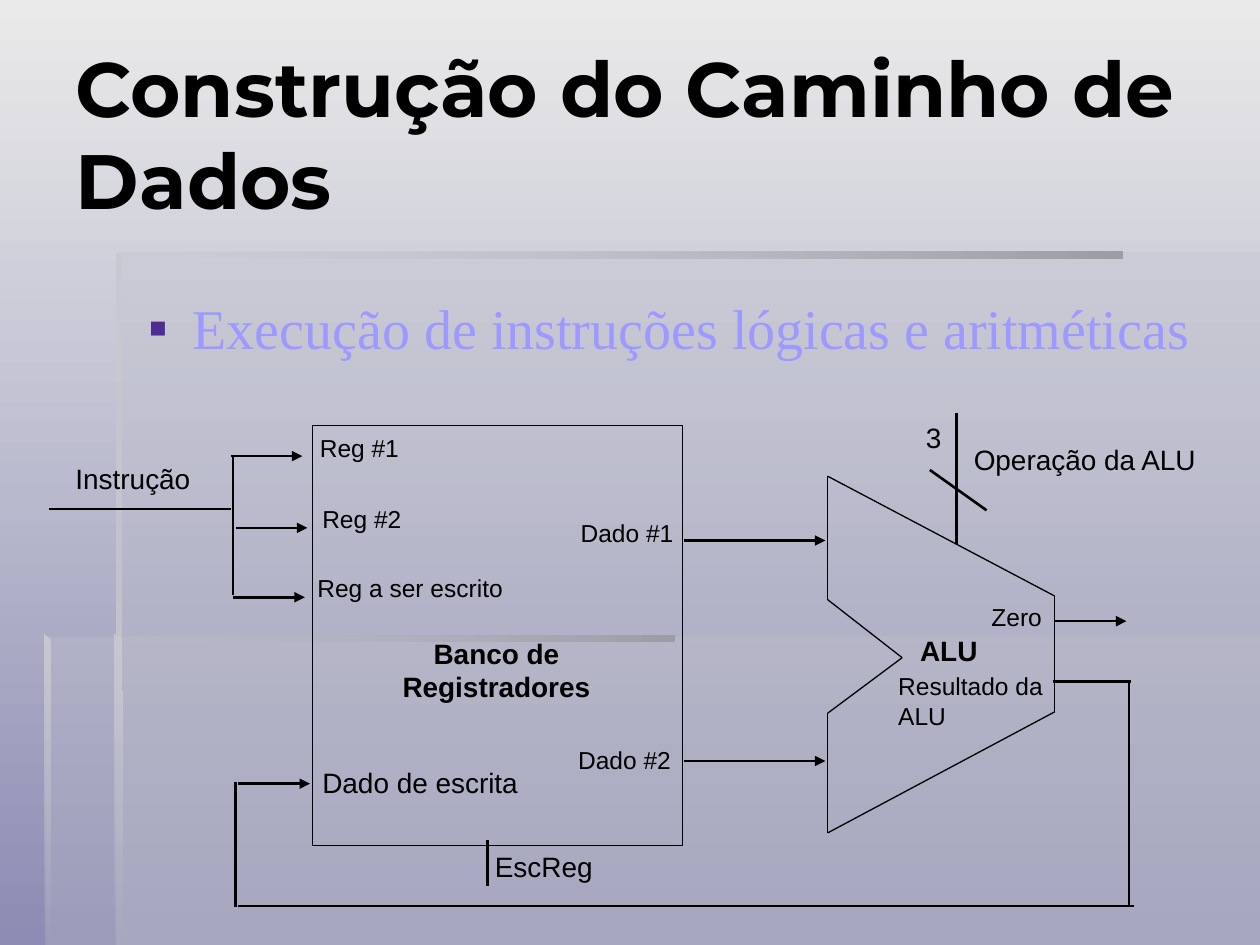
import pptx
import pptx.util
import pptx.dml.color
import pptx.enum.shapes
import pptx.enum.text
import pptx.oxml
import pptx.oxml.ns

THEME = {
    "ink": "000000", "bullet": "4E2D91", "body": "9E99FF",
    "sky": [("EAEAEA", 100), ("8C8CB4", 100)],
    "panel": [("C1C2CB", 30)],
    "bar": [("9D9EA5", 100), ("C1C2CB", 0)],
    "post": [("C7C8D0", 100), ("C1C2CB", 100)],
    "fade": [("C7C8D0", 100), ("C1C2CB", 0)],
    "head": ("Montserrat", 44), "list": ("Times New Roman", 32),
    "big": ("Arial", 16), "small": ("Arial", 14),
    "thin": 0.75, "wire": 1.5,
}
DOWN, BACK = 270, 180  # gradient directions

# Content; all lengths are in cells of a grid of 100 columns by 75 rows
COLS, ROWS = 100, 75
TITLE = "Construção do Caminho de Dados"
POINT = "Execução de instruções lógicas e aritméticas"

# Backdrop: look, gradient direction, outline
PANELS = [
    ("panel", None, [(9.2, 50.5), (9.2, 75), (100, 75), (100, 50.5)]),
    ("panel", None, [(9.4, 50.6), (3.6, 50.6), (3.6, 75), (100, 75),
                     (100, 20), (9.4, 20)]),
    ("bar", BACK, [(9.2, 20), (9.2, 20.5), (89.1, 20.5), (89.1, 20)]),
    ("post", DOWN, [(9.2, 20), (9.2, 51), (9.7, 51), (9.6, 20.4)]),
    ("fade", DOWN, [(9.1, 75), (9.7, 75), (9.6, 50.8), (9.1, 50.4)]),
    ("bar", BACK, [(3.5, 50.4), (3.5, 50.9), (53.5, 50.9), (53.5, 50.4)]),
    ("fade", DOWN, [(3.5, 50.4), (3.5, 75), (4, 75), (4, 50.9)]),
]

BANK = (24.8, 33.8, 29.4, 33.3)
ALU = [(65.7, 37.8), (83.7, 47.3), (83.7, 56.5), (65.7, 66.1),
       (65.7, 56.6), (71.6, 52.2), (65.7, 47.6)]

# Wires: start, end
ARROWS = [
    ((18.3, 36.2), (24, 36.2)), ((18.7, 41.9), (24.4, 41.9)),
    ((18.5, 47.4), (24.2, 47.4)), ((18.9, 62.2), (24.6, 62.2)),
    ((54.3, 42.9), (65.5, 42.9)), ((54.3, 60.4), (65.5, 60.4)),
    ((83.7, 49.3), (89.4, 49.3)),
]
LINES = [
    ((3.9, 40.4), (18.3, 40.4)), ((18.5, 36.2), (18.5, 47.2)),    # instruction
    ((83.6, 54.1), (89.8, 54.1)), ((89.6, 54.1), (89.6, 72)),     # write back
    ((18.9, 71.9), (90, 71.9)), ((18.7, 62.1), (18.7, 72)),
    ((75.9, 32.8), (75.9, 43.2)), ((73.8, 37.3), (78.3, 40.5)),   # control
    ((38.7, 66.7), (38.7, 70.3)),
]

# Labels: text, box, size, style (c centred, b bold)
LABELS = [
    ("Reg #1", (24.4, 33.9, 15.4, 5), "small", ""),
    ("Reg #2", (24.6, 39.5, 13.6, 5.4), "small", ""),
    ("Reg a ser escrito", (24.2, 45, 19.5, 4.2), "small", ""),
    ("Dado #1", (45.1, 40.6, 14.3, 3.9), "small", ""),
    ("Dado #2", (44.9, 58.6, 13.7, 5.1), "small", ""),
    ("Zero", (77.7, 47.3, 8.5, 5.2), "small", ""),
    ("Resultado da\nALU", (70.3, 52.8, 20.9, 6.6), "small", ""),
    ("Dado de escrita", (24.6, 60.3, 19.9, 5.9), "big", ""),
    ("Operação da ALU", (76.3, 34.6, 21.1, 5.1), "big", ""),
    ("EscReg", (38.3, 66.9, 13.3, 5.3), "big", ""),
    ("3", (72.5, 32.9, 5.9, 4.7), "big", ""),
    ("Instrução", (1.2, 36.1, 18.7, 4.5), "big", "c"),
    ("ALU", (70.7, 49.8, 9.2, 4.5), "big", "cb"),
    ("Banco de Registradores", (27.5, 50, 23.8, 6.9), "big", "cb"),
]

deck = pptx.Presentation()
deck.slide_width, deck.slide_height = pptx.util.Inches(10), pptx.util.Inches(7.5)
slide = deck.slides.add_slide(deck.slide_layouts[1])
shapes = slide.shapes
qn = pptx.oxml.ns.qn
ALIGN = pptx.enum.text.PP_ALIGN


def rgb(code):
    return pptx.dml.color.RGBColor.from_string(code)


def grid(*cells):
    """Turn x, y, x, y ... in cells into slide lengths."""
    units = (deck.slide_width / COLS, deck.slide_height / ROWS)
    return [round(n * units[i % 2]) for i, n in enumerate(cells)]


def place(shape, box):
    shape.left, shape.top, shape.width, shape.height = grid(*box)


def paint(fill, stops, turn):
    if turn is None:
        fill.solid()
        fill.fore_color.rgb = rgb(stops[0][0])
        return
    fill.gradient()
    fill.gradient_angle = turn
    for stop, (code, _) in zip(fill.gradient_stops, stops):
        stop.color.rgb = rgb(code)


def panel(look, turn, points):
    spots = [grid(*p) for p in points]
    draft = shapes.build_freeform(*spots[0])
    draft.add_line_segments(spots[1:], close=True)
    shape = draft.convert_to_shape()
    shape.shadow.inherit = False
    shape.line.fill.background()
    paint(shape.fill, THEME[look], turn)
    for node, (_, alpha) in zip(shape.element.iter(qn("a:srgbClr")), THEME[look]):
        if alpha < 100:
            node.makeelement(qn("a:alpha"))
            pptx.oxml.ns  # namespace map stays shared with the deck
            tag = pptx.oxml.parse_xml(
                f'<a:alpha {pptx.oxml.ns.nsdecls("a")} val="{alpha * 1000}"/>')
            node.append(tag)


def wire(start, end, width, arrow=False):
    kind = pptx.enum.shapes.MSO_CONNECTOR.STRAIGHT
    line = shapes.add_connector(kind, *grid(*start, *end))
    line.line.color.rgb = rgb(THEME["ink"])
    line.line.width = pptx.util.Pt(THEME[width])
    if arrow:
        tip = line.line._get_or_add_ln().makeelement(
            qn("a:tailEnd"), {"type": "triangle"})
        line.line._get_or_add_ln().append(tip)
    props = line.element.spPr
    props.append(props.makeelement(qn("a:effectLst"), {}))


def write(shape, text, look, color="ink", style=""):
    frame = shape.text_frame
    frame.word_wrap = True
    frame.auto_size = pptx.enum.text.MSO_AUTO_SIZE.NONE
    frame.text = text
    name, size = THEME[look]
    for para in frame.paragraphs:
        para.alignment = ALIGN.CENTER if "c" in style else ALIGN.LEFT
        para.space_before = pptx.util.Pt(0)
        for run in para.runs:
            run.font.name, run.font.size = name, pptx.util.Pt(size)
            run.font.bold = "b" in style
            run.font.color.rgb = rgb(THEME[color])


# Backdrop
paint(slide.background.fill, THEME["sky"], DOWN)
for item in PANELS:
    panel(*item)

# Title and bullet, brought in front of the backdrop
title, body = shapes.title, slide.placeholders[1]
for holder in (title, body):
    shapes.element.append(holder.element)
place(title, (5, 2.7, 91.7, 15.7))
write(title, TITLE, "head", style="b")
title.text_frame.vertical_anchor = pptx.enum.text.MSO_ANCHOR.MIDDLE
place(body, (10.8, 22.8, 88, 6.4))
write(body, POINT, "list", "body")
props = body.text_frame.paragraphs[0]._p.get_or_add_pPr()
hang = grid(3.5)[0]
props.set("marL", str(hang))
props.set("indent", str(-hang))
space = pptx.oxml.ns.nsdecls("a")
for mark in (
    f'<a:buClr {space}><a:srgbClr val="{THEME["bullet"]}"/></a:buClr>',
    f'<a:buFont {space} typeface="Arial"/>',
    f'<a:buChar {space} char="▪"/>',
):
    props.append(pptx.oxml.parse_xml(mark))

# Register bank
bank = shapes.add_shape(pptx.enum.shapes.MSO_SHAPE.RECTANGLE, *grid(*BANK))
bank.shadow.inherit = False
bank.fill.background()
bank.line.color.rgb = rgb(THEME["ink"])
bank.line.width = pptx.util.Pt(THEME["thin"])

# ALU outline and wires
for start, end in zip(ALU, ALU[1:] + ALU[:1]):
    wire(start, end, "thin")
for start, end in LINES:
    wire(start, end, "wire")
for start, end in ARROWS:
    wire(start, end, "wire", arrow=True)

# Labels
for text, box, look, style in LABELS:
    write(shapes.add_textbox(*grid(*box)), text, look, style=style)

deck.save("out.pptx")
